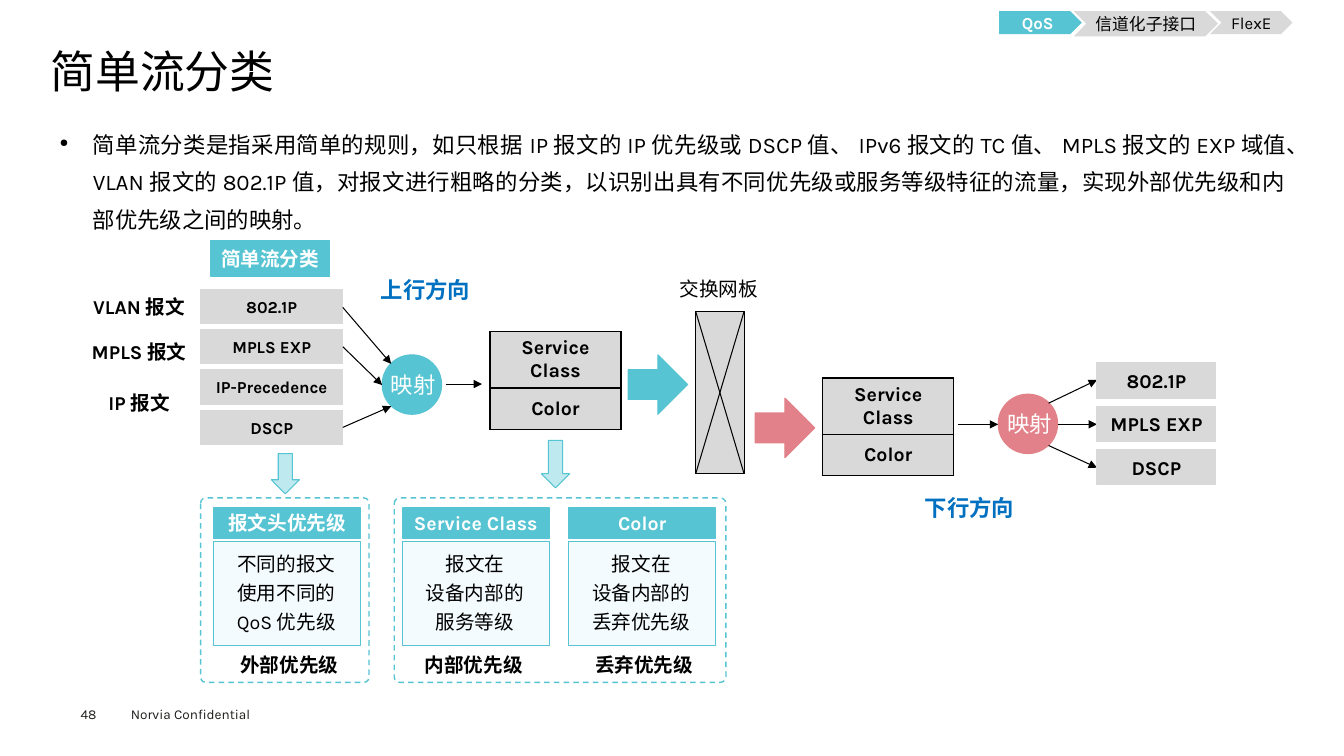
import pptx
import pptx.dml.color
import pptx.enum.dml
import pptx.enum.shapes
import pptx.enum.text
import pptx.oxml.ns
import pptx.util
from lxml import etree

Inches, Pt = pptx.util.Inches, pptx.util.Pt
SHAPE = pptx.enum.shapes.MSO_SHAPE
ALIGN = pptx.enum.text.PP_ALIGN
ANCHOR = pptx.enum.text.MSO_ANCHOR
qn = pptx.oxml.ns.qn

TEAL, PINK, GREY, BLUE = "56C4D2", "E28189", "D9D9D9", "0070C0"
PALE, MIST, BLACK, WHITE = "F4FBFE", "BEE9EE", "000000", "FFFFFF"
NORMAL, TIGHT, NONE = (0.1, 0.05), (0.09, 0.04), (0, 0)


def rgb(color):
    return pptx.dml.color.RGBColor.from_string(color)


def write(tf, text, size=14, color=BLACK, bold=False, align=ALIGN.CENTER,
          anchor=ANCHOR.MIDDLE, inset=NORMAL, spacing=None, wrap=True, bullet=None):
    tf.auto_size = pptx.enum.text.MSO_AUTO_SIZE.NONE
    tf.word_wrap = wrap
    tf.vertical_anchor = anchor
    tf.margin_left = tf.margin_right = Inches(inset[0])
    tf.margin_top = tf.margin_bottom = Inches(inset[1])
    for i, line in enumerate(text.split("\n")):
        p = tf.add_paragraph() if i else tf.paragraphs[0]
        p.alignment = align
        if spacing:
            p.line_spacing = spacing
        if bullet:
            pPr = p._p.get_or_add_pPr()
            pPr.set("marL", str(Inches(0.33)))
            pPr.set("indent", str(-Inches(0.33)))
            etree.SubElement(pPr, qn("a:buSzPct"), val="50000")
            etree.SubElement(pPr, qn("a:buChar"), char=bullet)
        r = p.add_run()
        r.text = line
        r.font.size, r.font.bold, r.font.name = Pt(size), bold, "Karla"
        r.font.color.rgb = rgb(color)
        etree.SubElement(r._r.get_or_add_rPr(), qn("a:ea"), typeface="Karla")


class Slide:
    def __init__(self, prs):
        self.s = prs.slides.add_slide(prs.slide_layouts[5])

    def title(self, text, *at):
        sp = self.s.shapes.title
        sp.left, sp.top, sp.width, sp.height = map(Inches, at)
        write(sp.text_frame, text, size=32, align=ALIGN.LEFT, anchor=ANCHOR.TOP,
              inset=NONE, spacing=0.9)

    def text(self, text, *at, **fmt):
        sp = self.s.shapes.add_textbox(*map(Inches, at))
        write(sp.text_frame, text, **fmt)

    def shape(self, kind, *at, fill=None, line=None, width=0.75, dash=False,
              adj=None, text=None, **fmt):
        sp = self.s.shapes.add_shape(kind, *map(Inches, at))
        sp.shadow.inherit = False
        if fill:
            sp.fill.solid()
            sp.fill.fore_color.rgb = rgb(fill)
        else:
            sp.fill.background()
        if line:
            sp.line.color.rgb = rgb(line)
            sp.line.width = Pt(width)
        else:
            sp.line.fill.background()
        if dash:
            sp.line.dash_style = pptx.enum.dml.MSO_LINE.DASH
        if adj is not None:
            sp.adjustments[0] = adj
        if text:
            write(sp.text_frame, text, **fmt)

    def block(self, *at, color=GREY, kind=SHAPE.RECTANGLE, **opts):
        self.shape(kind, *at, fill=color, line=color, **opts)

    def line(self, *ends, arrow=True):
        c = self.s.shapes.add_connector(pptx.enum.shapes.MSO_CONNECTOR.STRAIGHT,
                                        *map(Inches, ends))
        c.line.color.rgb = rgb(BLACK)
        c.line.width = Pt(0.75)
        if arrow:
            etree.SubElement(c.line._get_or_add_ln(), qn("a:tailEnd"), type="triangle")
        etree.SubElement(c._element.spPr, qn("a:effectLst"))

    def mapping(self, x, y, color):
        self.block(x, y, 0.59, 0.59, color=color, kind=SHAPE.OVAL)
        self.text("映射", x - 0.01, y + 0.11, 0.64, 0.37, size=16, color=WHITE, wrap=False)

    def table(self, x, y, w, rows):
        frame = self.s.shapes.add_table(len(rows), 1, Inches(x), Inches(y), Inches(w),
                                        Inches(sum(h for _, h in rows)))
        tbl = frame.table
        tbl.first_row = tbl.horz_banding = False
        for i, (label, h) in enumerate(rows):
            tbl.rows[i].height = Inches(h)
            cell = tbl.cell(i, 0)
            write(cell.text_frame, label, bold=True)
            cell.vertical_anchor = ANCHOR.MIDDLE
            tcPr = cell._tc.get_or_add_tcPr()
            for side in ("a:lnL", "a:lnR", "a:lnT", "a:lnB"):
                ln = etree.SubElement(tcPr, qn(side), w=str(Pt(1)))
                solid = etree.SubElement(ln, qn("a:solidFill"))
                etree.SubElement(solid, qn("a:srgbClr"), val=BLACK)
            cell.fill.solid()
            cell.fill.fore_color.rgb = rgb(GREY)


def main():
    prs = pptx.Presentation()
    prs.slide_width, prs.slide_height = Inches(13.33), Inches(7.5)
    s = Slide(prs)

    # Title, body and footer
    s.title("简单流分类", 0.5, 0.49, 12.35, 0.53)
    s.text("简单流分类是指采用简单的规则，如只根据IP报文的IP优先级或DSCP值、IPv6报文的TC值、"
           "MPLS报文的EXP域值、VLAN报文的802.1P值，对报文进行粗略的分类，以识别出具有不同优先级"
           "或服务等级特征的流量，实现外部优先级和内部优先级之间的映射。",
           0.5, 1.15, 12.35, 1.25, size=16, align=ALIGN.JUSTIFY, anchor=ANCHOR.TOP,
           inset=TIGHT, spacing=1.4, bullet="●")
    footer = dict(size=9.7, align=ALIGN.LEFT, anchor=ANCHOR.TOP)
    s.text("Norvia Confidential", 1.2, 6.95, 1.6, 0.27, color="1D1D1B", **footer)
    s.text("48", 0.8, 7, 0.55, 0.16, color="1D1D1B", inset=NONE, **footer)

    # Chapter navigation
    nav = dict(size=12, inset=NONE)
    s.shape(SHAPE.PENTAGON, 9.91, 0.11, 0.82, 0.23, fill=TEAL, text="QoS",
            color=WHITE, bold=True, **nav)
    s.shape(SHAPE.CHEVRON, 12, 0.11, 0.82, 0.23, fill=GREY, text="FlexE", **nav)
    s.shape(SHAPE.CHEVRON, 10.65, 0.11, 1.43, 0.25, fill=GREY, text="信道化子接口", **nav)

    # Incoming packet fields
    s.block(2.09, 2.39, 1.18, 0.35, color=TEAL)
    s.text("简单流分类", 2.09, 2.39, 1.18, 0.35, color=WHITE, bold=True)
    for label, y in (("VLAN报文", 2.87), ("MPLS报文", 3.31), ("IP报文", 3.82)):
        s.text(label, 0.79, y, 1.18, 0.35, bold=True)
    for i, field in enumerate(("802.1P", "MPLS EXP", "IP-Precedence", "DSCP")):
        s.block(1.99, 2.87 + 0.4 * i, 1.41, 0.34, text=field, size=12, bold=True)

    # Upstream mapping
    s.text("上行方向", 3.67, 2.69, 1.1, 0.37, size=16, color=BLUE, bold=True, wrap=False)
    s.mapping(3.79, 3.52, TEAL)
    for ends in ((3.4, 3.05, 3.88, 3.61), (3.4, 3.44, 3.79, 3.82),
                 (3.4, 4.24, 3.88, 4.03), (4.42, 3.81, 4.78, 3.81)):
        s.line(*ends)
    rows = (("Service Class", 0.56), ("Color", 0.41))
    s.table(4.86, 3.29, 1.3, rows)
    s.block(6.23, 3.52, 0.59, 0.59, color=TEAL, kind=SHAPE.RIGHT_ARROW)

    # Switch fabric
    s.text("交换网板", 6.64, 2.7, 0.98, 0.33, wrap=False)
    s.shape(SHAPE.RECTANGLE, 6.9, 3.09, 0.48, 1.61, fill=GREY, line=BLACK)
    s.line(6.9, 3.09, 7.38, 4.7, arrow=False)
    s.line(7.38, 3.09, 6.9, 4.7, arrow=False)

    # Downstream mapping
    s.block(7.49, 3.95, 0.59, 0.59, color=PINK, kind=SHAPE.RIGHT_ARROW)
    s.table(8.16, 3.75, 1.3, rows)
    s.mapping(9.9, 3.91, PINK)
    for ends in ((9.5, 4.21, 9.9, 4.21), (10.4, 4, 10.88, 3.77),
                 (10.49, 4.21, 10.88, 4.21), (10.4, 4.42, 10.88, 4.64)):
        s.line(*ends)
    for i, field in enumerate(("802.1P", "MPLS EXP", "DSCP")):
        s.block(10.88, 3.6 + 0.43 * i, 1.18, 0.35, text=field, bold=True)
    s.text("下行方向", 9.07, 4.85, 1.09, 0.37, size=16, color=BLUE, bold=True, wrap=False)

    # Priority explanations
    for x, y, h in ((2.69, 4.5, 0.4), (5.37, 4.37, 0.47)):
        s.shape(SHAPE.DOWN_ARROW, x, y, 0.28, h, fill=MIST, line=TEAL)
    for x, w in ((1.99, 1.67), (3.91, 3.29)):
        s.shape(SHAPE.ROUNDED_RECTANGLE, x, 4.94, w, 1.83, line=TEAL, width=1,
                dash=True, adj=0.03)
    cards = (
        (2.12, "报文头优先级", "不同的报文\n使用不同的\nQoS优先级", 2.28, "外部优先级"),
        (3.99, "Service Class", "报文在\n设备内部的\n服务等级", 4.11, "内部优先级"),
        (5.64, "Color", "报文在\n设备内部的\n丢弃优先级", 5.8, "丢弃优先级"),
    )
    for x, head, body, caption_x, caption in cards:
        s.shape(SHAPE.RECTANGLE, x, 5.37, 1.46, 1.03, fill=PALE, line=TEAL)
        s.text(body, x + 0.05, 5.36, 1.34, 0.98, spacing=1.25)
        s.block(x, 5.04, 1.46, 0.3, color=TEAL)
        s.text(head, x, 5.04, 1.46, 0.3, color=WHITE, bold=True)
        s.text(caption, caption_x, 6.44, 1.18, 0.3, bold=True)

    prs.save("out.pptx")


if __name__ == "__main__":
    main()
